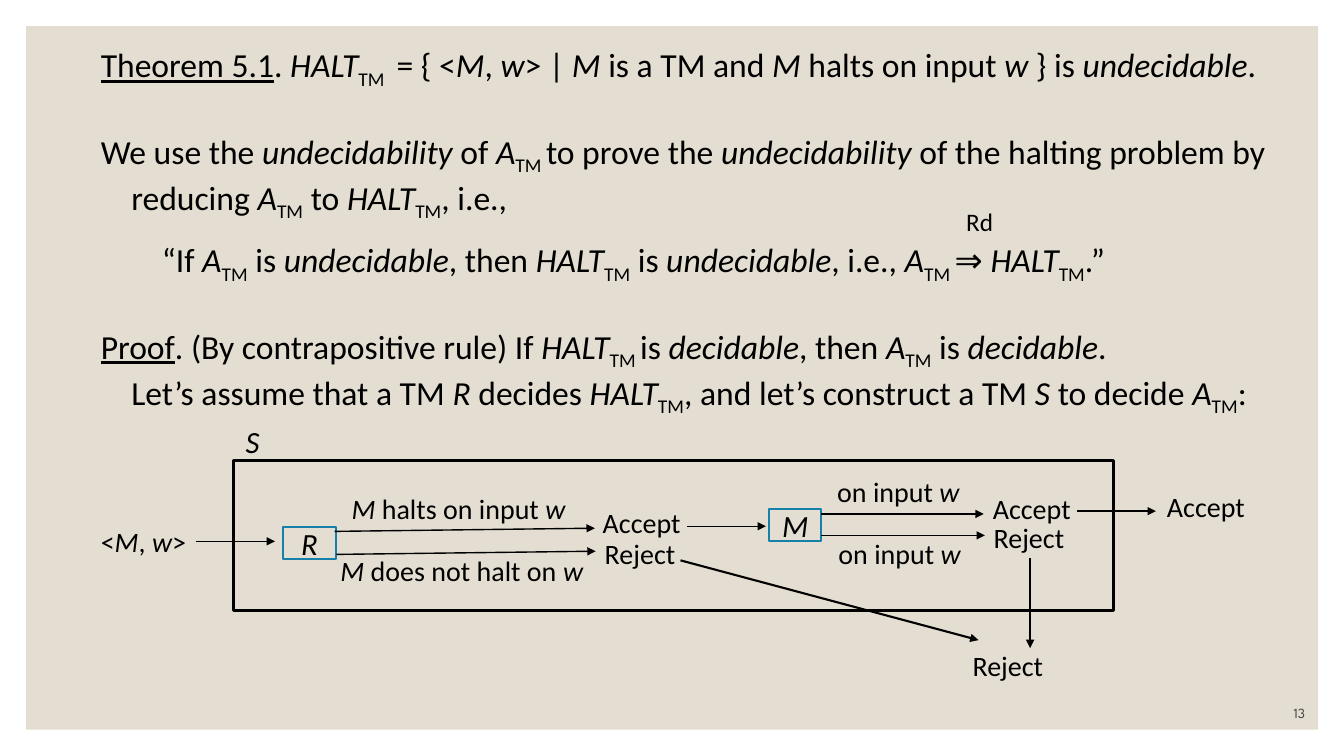
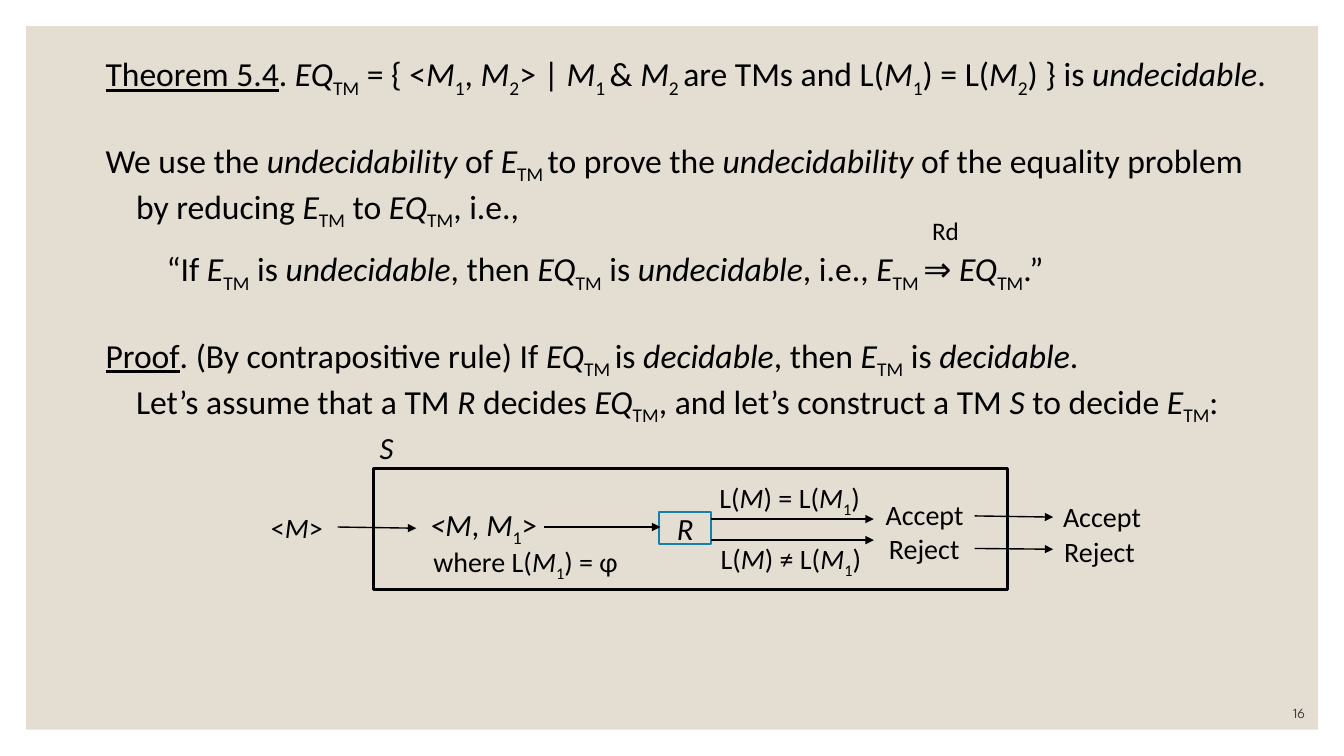
from lxml.etree import SubElement
from pptx import Presentation
from pptx.dml.color import RGBColor
from pptx.enum.shapes import MSO_CONNECTOR, MSO_SHAPE
from pptx.enum.text import MSO_ANCHOR, PP_ALIGN
from pptx.oxml.ns import qn
from pptx.util import Cm, Pt

COLORS = {"panel": "E3DED1", "ink": "000000", "state": "1580A9", "number": "404040"}
MARKS = {"*": "italic", "_": "subscript", "~": "underline"}
INDENT = 0.77
BLANK_LINE = 29


def split_marks(content):
    active, piece = set(), ""
    for character in content:
        if character in MARKS:
            if piece:
                yield piece, set(active)
            active ^= {MARKS[character]}
            piece = ""
        else:
            piece += character
    if piece:
        yield piece, set(active)


class Deck:
    body_font = "Calibri"
    number_font = "League Spartan"

    def __init__(self):
        self.presentation = Presentation()
        self.presentation.slide_width = Cm(33.87)
        self.presentation.slide_height = Cm(19.05)
        self.slide = None

    def color(self, name):
        return RGBColor.from_string(COLORS[name])

    def add_slide(self, number):
        layout = self.presentation.slide_layouts[6]
        self.slide = self.presentation.slides.add_slide(layout)
        panel = self.rectangle(0.66, 0.66, 32.56, 17.73)
        panel.fill.solid()
        panel.fill.fore_color.rgb = self.color("panel")
        frame = self.frame(29.08, 17.53, 3.81, 0.76)
        frame.vertical_anchor = MSO_ANCHOR.BOTTOM
        paragraph = frame.paragraphs[0]
        paragraph.alignment = PP_ALIGN.RIGHT
        self.fill_paragraph(paragraph, number, 10, self.number_font, "number")

    def rectangle(self, left, top, width, height, line=None, weight=0):
        shape = self.slide.shapes.add_shape(
            MSO_SHAPE.RECTANGLE, Cm(left), Cm(top), Cm(width), Cm(height))
        shape.shadow.inherit = False
        shape.fill.background()
        if line:
            shape.line.color.rgb = self.color(line)
            shape.line.width = Pt(weight)
        else:
            shape.line.fill.background()
        return shape

    def frame(self, left, top, width, height):
        box = self.slide.shapes.add_textbox(Cm(left), Cm(top), Cm(width), Cm(height))
        box.text_frame.word_wrap = True
        box.text_frame.margin_right = 0
        return box.text_frame

    def fill_paragraph(self, paragraph, content, size, font=body_font, color="ink"):
        paragraph.font.name = font
        paragraph.font.size = Pt(size)
        paragraph.font.color.rgb = self.color(color)
        for piece, styles in split_marks(content):
            run = paragraph.add_run()
            run.text = piece
            if "italic" in styles:
                run.font.italic = True
            if "underline" in styles:
                run.font.underline = True
            if "subscript" in styles:
                run._r.get_or_add_rPr().set("baseline", "-25000")

    def label(self, left, top, width, content, size=20):
        frame = self.frame(left, top, width, 1.15)
        self.fill_paragraph(frame.paragraphs[0], content, size)

    def state(self, left, top, name):
        shape = self.rectangle(left, top, 1.32, 0.81, "state", 1.5)
        frame = shape.text_frame
        frame.margin_left = frame.margin_right = 0
        frame.margin_top = frame.margin_bottom = 0
        frame.vertical_anchor = MSO_ANCHOR.MIDDLE
        paragraph = frame.paragraphs[0]
        paragraph.alignment = PP_ALIGN.CENTER
        self.fill_paragraph(paragraph, f"*{name}*", 22)

    def arrow(self, start_x, start_y, end_x, end_y, weight=1):
        connector = self.slide.shapes.add_connector(
            MSO_CONNECTOR.STRAIGHT, Cm(start_x), Cm(start_y), Cm(end_x), Cm(end_y))
        connector.line.color.rgb = self.color("ink")
        connector.line.width = Pt(weight)
        properties = connector._element.spPr
        SubElement(properties.find(qn("a:ln")), qn("a:tailEnd"), type="triangle")
        SubElement(properties, qn("a:effectLst"))

    def theorem(self, left, top, statement, known, target, opening, reduction, rule_left):
        known, target = f"*{known}*", f"*{target}*"
        lines = [
            (0, 0, statement),
            (0, BLANK_LINE, f"We use the *undecidability* of {known}_TM _to prove the "
                            f"*undecidability* of the {opening}"),
            (1, 0, f"{reduction} {known}_TM_ to {target}_TM_, i.e.,"),
            (2, 12, f"“If {known}_TM_ is *undecidable*, then {target}_TM_ is *undecidable*, "
                    f"i.e., {known}_TM _⇒ {target}_TM_.”"),
            (0, BLANK_LINE, f"~Proof~. (By contrapositive rule) If {target}_TM _is "
                            f"*decidable*, then {known}_TM_ is *decidable*."),
            (1, 0, f"Let’s assume that a TM *R* decides {target}_TM_, and let’s construct "
                   f"a TM *S* to decide {known}_TM_:"),
        ]
        frame = self.frame(left, top, 30.38, 8.89)
        for index, (depth, gap, content) in enumerate(lines):
            paragraph = frame.add_paragraph() if index else frame.paragraphs[0]
            paragraph.space_before = Pt(gap)
            paragraph._p.get_or_add_pPr().set("marL", str(Cm(depth * INDENT)))
            self.fill_paragraph(paragraph, content, 24)
        self.label(rule_left, top + 4.09, 1.32, "Rd", 18)

    def machine(self, outline, labels, states, arrows):
        self.rectangle(*outline, "ink", 2.25)
        for label in labels:
            self.label(*label)
        for state in states:
            self.state(*state)
        for arrow in arrows:
            self.arrow(*arrow)


def halting_slide(deck):
    deck.add_slide("13")
    deck.theorem(
        2.29, 0.99,
        "~Theorem 5.1~. *HALT*_TM _ = { <*M*, *w*> | *M* is a TM and *M* halts on "
        "input *w* } is *undecidable*.",
        "A", "HALT", "halting problem by", "reducing", 24.1)
    deck.machine(
        (5.89, 11.61, 22.17, 3.78),
        [
            (5.94, 10.52, 0.86, "*S*", 22),
            (2.29, 13.08, 2.67, "<*M*, *w*>"),
            (8.61, 12.27, 6.25, "*M* halts on input *w*"),
            (8.33, 13.82, 6.76, "*M *does not halt on *w*"),
            (14.94, 12.62, 2.49, "Accept"),
            (14.99, 13.39, 2.31, "Reject"),
            (20.85, 11.84, 3.66, "on input *w*"),
            (20.88, 13.39, 3.66, "on input *w*"),
            (24.77, 12.27, 2.49, "Accept"),
            (24.79, 12.98, 2.31, "Reject"),
            (29.16, 12.22, 2.49, "Accept"),
            (24.26, 16.21, 2.31, "Reject"),
        ],
        [(7.14, 13.28, "R"), (19.38, 12.83, "M")],
        [
            (4.95, 13.64, 6.93, 13.64),
            (8.43, 13.39, 14.99, 13.31),
            (8.48, 13.97, 15.01, 13.89),
            (17.32, 13.26, 19.3, 13.26),
            (20.68, 12.95, 24.79, 12.95),
            (20.7, 13.49, 24.82, 13.49),
            (27.15, 12.88, 29.13, 12.88),
            (25.96, 14.07, 25.96, 16.33, 1.5),
            (17.15, 14.12, 24.66, 16.13, 1.5),
        ])


def equality_slide(deck):
    deck.add_slide("16")
    deck.theorem(
        2.41, 1.22,
        "~Theorem 5.4~. *EQ*_TM_ = { <*M*_1_, *M*_2_> | *M*_1 _& *M*_2 _are TMs and "
        "L(*M*_1_) = L(*M*_2_) } is *undecidable*.",
        "E", "EQ", "equality problem", "by reducing", 23.24)
    deck.machine(
        (9.42, 11.81, 15.98, 3.05),
        [
            (9.32, 10.69, 0.86, "*S*", 22),
            (6.58, 12.75, 1.85, "<*M*>"),
            (10.59, 12.62, 3.89, "*<M*, *M*_1_>", 22),
            (10.67, 13.59, 5.89, "where L(*M*_1_) = φ"),
            (17.88, 11.99, 4.39, "L(*M*) = L(*M*_1_)"),
            (17.91, 13.51, 4.39, "L(*M*) ≠ L(*M*_1_)"),
            (22.07, 12.42, 2.49, "Accept"),
            (22.15, 13.28, 2.31, "Reject"),
            (26.54, 12.45, 2.49, "Accept"),
            (26.57, 13.34, 2.31, "Reject"),
        ],
        [(16.61, 12.9, "R")],
        [
            (8.51, 13.28, 10.49, 13.31),
            (13.72, 13.28, 16.64, 13.28),
            (17.91, 13.08, 22.02, 13.08),
            (17.93, 13.61, 22.02, 13.61),
            (24.56, 13, 26.54, 13.03),
            (24.56, 13.82, 26.54, 13.84),
        ])


def main():
    deck = Deck()
    halting_slide(deck)
    equality_slide(deck)
    deck.presentation.save("out.pptx")


if __name__ == "__main__":
    main()
